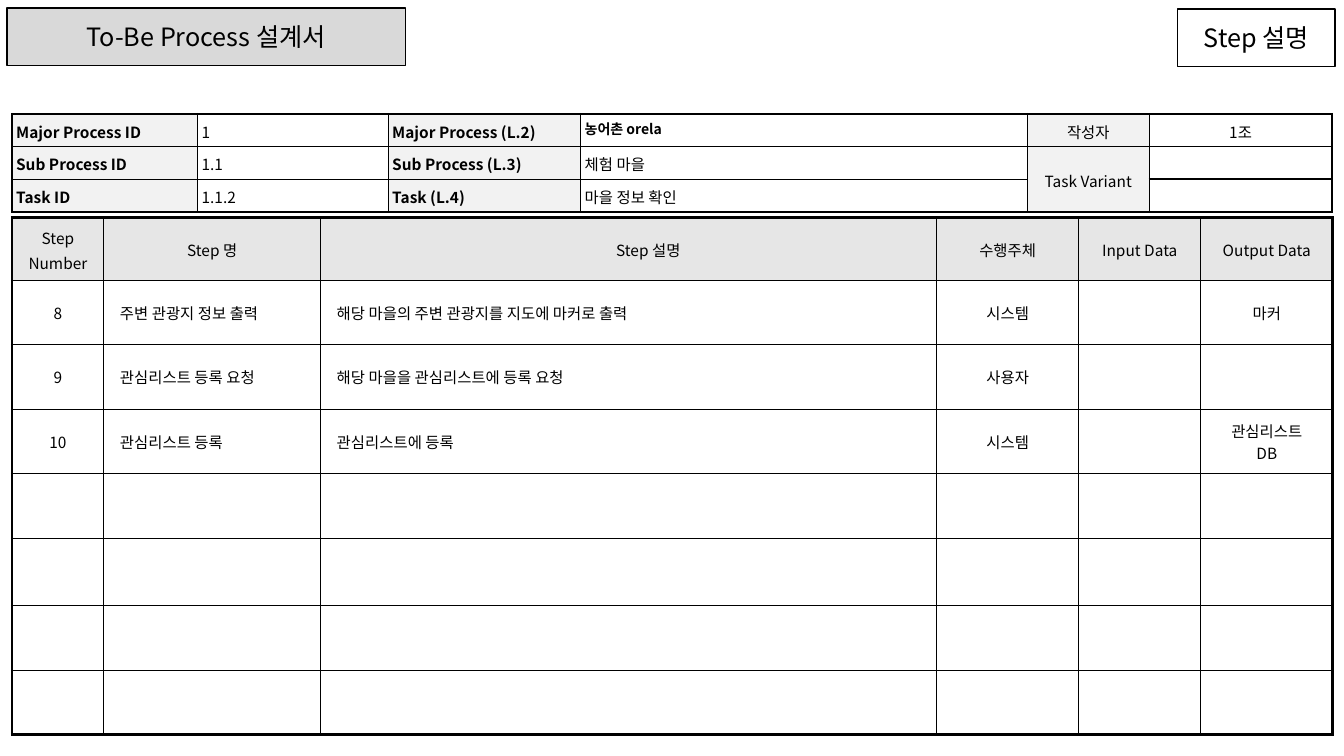
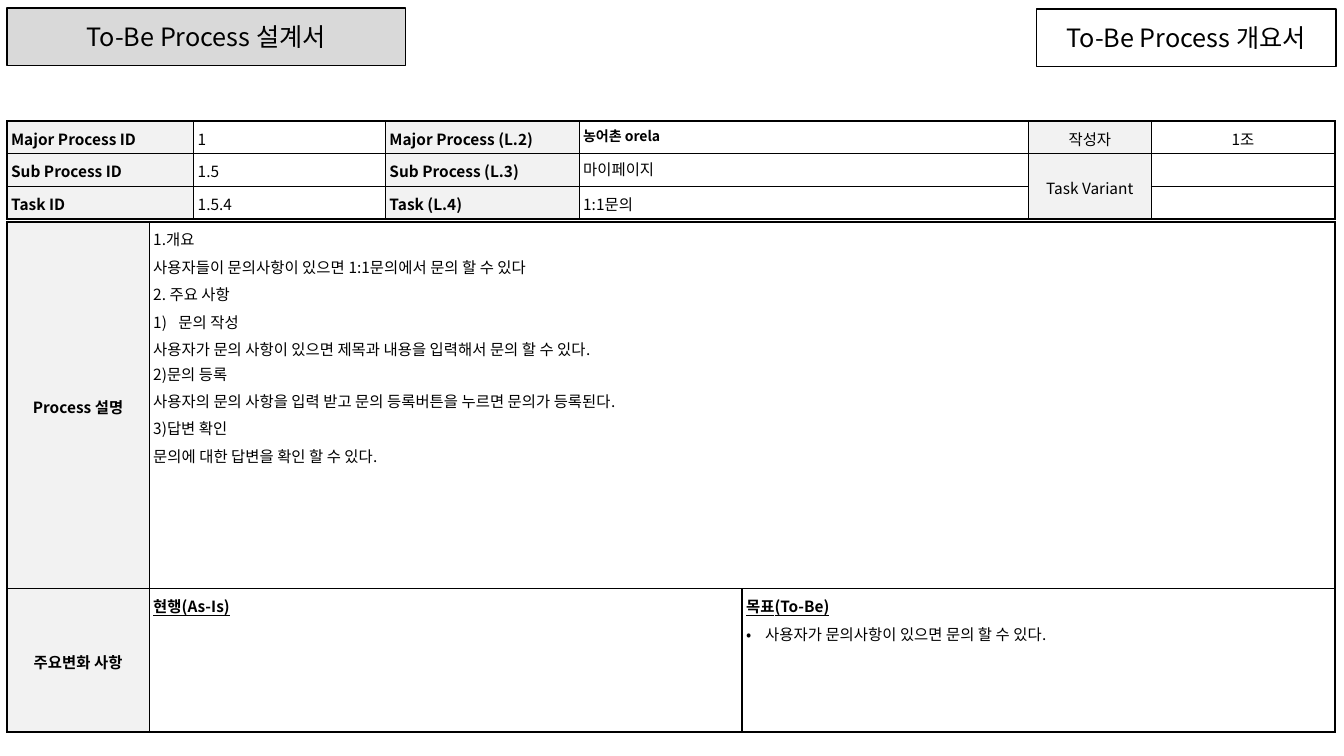
from dataclasses import dataclass

from lxml import etree
from pptx import Presentation
from pptx import util as u
from pptx.dml.color import RGBColor
from pptx.enum import shapes, text
from pptx.oxml.ns import qn

FONT = "Noto Sans CJK KR"
BLACK, WHITE = "000000", "FFFFFF"
TITLE_GREY, LABEL_GREY, HEADER_GREY = "D9D9D9", "F2F2F2", "E6E6E6"
CENTER, LEFT = text.PP_ALIGN.CENTER, text.PP_ALIGN.LEFT


@dataclass
class Line:
    """One paragraph; indent and hanging are inches, a newline is a line break."""
    words: str
    bold: bool = False
    underline: bool = False
    size: float = 11
    align: int = LEFT
    spacing: float = 1.1
    before: float = 0
    indent: float = 0
    hanging: float = 0
    bullet: tuple = ()


@dataclass
class Cell:
    lines: tuple = ()
    fill: str = ""
    middle: bool = False
    span: tuple = (1, 1)
    bottom: float = 0


TITLE = "To-Be Process 설계서"
INFO_WIDTHS = [1.84, 1.89, 1.91, 4.43, 1.21, 1.81]
INFO_HEIGHTS = [0.31] * 3
INFO_LABELS = [
    ("Major Process ID", "Major Process (L.2)"),
    ("Sub Process ID", "Sub Process (L.3)"),
    ("Task ID", "Task (L.4)"),
]
MAJOR_PROCESS = Line("농어촌 orela", bold=True, size=10, spacing=1)

STEP_PAGE = {
    "caption": "Step 설명", "caption_box": (11.68, 1.56),
    "info_box": (0.12, 1.13, 13.09), "author_rule": 1.5,
    "info": [("1", MAJOR_PROCESS), ("1.1", Line("체험 마을")), ("1.1.2", Line("마을 정보 확인"))],
}
STEP_WIDTHS = [0.91, 2.15, 6.11, 1.41, 1.21, 1.31]
STEP_HEIGHTS = [0.62, 0.64, 0.64, 0.64, 0.64, 0.67, 0.64, 0.64]
STEP_HEADERS = ["Step Number", "Step 명", "Step 설명", "수행주체", "Input Data", "Output Data"]
STEPS = [
    ("8", "주변 관광지 정보 출력", "해당 마을의 주변 관광지를 지도에 마커로 출력", "시스템", "", "마커"),
    ("9", "관심리스트 등록 요청", "해당 마을을 관심리스트에 등록 요청", "사용자", "", ""),
    ("10", "관심리스트 등록", "관심리스트에 등록", "시스템", "", "관심리스트|DB"),
]

OVERVIEW_PAGE = {
    "caption": "To-Be Process 개요서", "caption_box": (10.28, 2.97),
    "info_box": (0.07, 1.2, 13.17), "author_rule": 1,
    "info": [("1", MAJOR_PROCESS), ("1.5", Line("마이페이지", spacing=1)), ("1.5.4", Line("1:1문의"))],
}
OVERVIEW_WIDTHS = [1.41, 5.88, 5.88]
OVERVIEW_HEIGHTS = [3.64, 1.42]
DESCRIPTION = (
    Line("1.개요", indent=0.25, hanging=-0.25),
    Line("사용자들이 문의사항이 있으면 1:1문의에서 문의 할 수 있다", before=2),
    Line("2. 주요 사항", before=2),
    Line("문의 작성", before=2, indent=0.25, hanging=-0.26,
         bullet=("a:buAutoNum", {"type": "arabicParenR"})),
    Line("사용자가 문의 사항이 있으면 제목과 내용을 입력해서 문의 할 수 있다.\n2)문의 등록", before=2),
    Line("사용자의 문의 사항을 입력 받고 문의 등록버튼을 누르면 문의가 등록된다.", before=2),
    Line("3)답변 확인", before=2),
    Line("문의에 대한 답변을 확인 할 수 있다.", before=2),
)
AS_IS = (Line("현행(As-Is)", bold=True, underline=True, indent=0.09, hanging=-0.09),)
TO_BE = (
    Line("목표(To-Be)", bold=True, underline=True, indent=0.09, hanging=-0.09),
    Line("사용자가 문의사항이 있으면 문의 할 수 있다.", before=2.2, indent=0.19, hanging=-0.19,
         bullet=("a:buChar", {"char": "•"})),
)


def color(value):
    return RGBColor.from_string(value)


def add_child(parent, tag, **attributes):
    return etree.SubElement(parent, qn(tag), **attributes)


def add_run(para, words, line):
    span = para.add_run()
    span.text = words
    font = span.font
    font.size, font.bold, font.underline = u.Pt(line.size), line.bold, line.underline
    font.color.rgb = color(BLACK)
    font.name = FONT
    add_child(span._r.get_or_add_rPr(), "a:ea", typeface=FONT)


def write(frame, lines):
    for index, line in enumerate(lines):
        para = frame.add_paragraph() if index else frame.paragraphs[0]
        para.alignment = line.align
        para.line_spacing = line.spacing
        para.space_before = u.Pt(line.before)
        properties = para._p.get_or_add_pPr()
        properties.set("marL", str(u.Inches(line.indent)))
        properties.set("indent", str(u.Inches(line.hanging)))
        if line.bullet:
            tag, attributes = line.bullet
            add_child(add_child(properties, "a:buClr"), "a:srgbClr", val=BLACK)
            add_child(properties, "a:buFont", typeface=FONT)
            add_child(properties, tag, **attributes)
        for number, words in enumerate(line.words.split("\n")):
            if number:
                para.add_line_break()
            add_run(para, words, line)
    if not lines:
        add_child(frame.paragraphs[0]._p, "a:endParaRPr", sz="1100")


def add_border(cell, side, points):
    border = add_child(cell._tc.get_or_add_tcPr(), "a:ln" + side, w=str(u.Pt(points)))
    add_child(add_child(border, "a:solidFill"), "a:srgbClr", val=BLACK)


def add_grid(page, left, top, widths, heights, rows, edge, side_margin=0.04):
    """Table with outer rules of edge points and 1 point rules inside."""
    frame = page.shapes.add_table(len(heights), len(widths), u.Inches(left), u.Inches(top),
                                  u.Inches(sum(widths)), u.Inches(sum(heights)))
    table = frame.table
    table.first_row = table.horz_banding = False
    for column, width in zip(table.columns, widths):
        column.width = u.Inches(width)
    for row, height in zip(table.rows, heights):
        row.height = u.Inches(height)
    for y, row in enumerate(rows):
        for x, content in enumerate(row):
            if content is None:
                continue
            cell = table.cell(y, x)
            end_y, end_x = y + content.span[0], x + content.span[1]
            if content.span != (1, 1):
                cell.merge(table.cell(end_y - 1, end_x - 1))
            above = rows[y - 1][x] if y else None
            add_border(cell, "L", 1 if x else edge)
            add_border(cell, "R", edge if end_x == len(widths) else 1)
            add_border(cell, "T", (above and above.bottom or 1) if y else edge)
            add_border(cell, "B", edge if end_y == len(heights) else content.bottom or 1)
            if content.fill:
                cell.fill.solid()
                cell.fill.fore_color.rgb = color(content.fill)
            else:
                cell.fill.background()
            cell.margin_left = cell.margin_right = u.Inches(side_margin)
            cell.margin_top = cell.margin_bottom = u.Inches(0.04)
            cell.vertical_anchor = text.MSO_ANCHOR.MIDDLE if content.middle else text.MSO_ANCHOR.TOP
            write(cell.text_frame, content.lines)


def add_title_box(page, left, top, width, words, fill=""):
    box = page.shapes.add_shape(shapes.MSO_SHAPE.RECTANGLE, u.Inches(left), u.Inches(top),
                                u.Inches(width), u.Inches(0.57))
    box.shadow.inherit = False
    if fill:
        box.fill.solid()
        box.fill.fore_color.rgb = color(fill)
    else:
        box.fill.background()
    box.line.color.rgb = color(BLACK)
    box.line.width = u.Pt(1)
    box.text_frame.word_wrap = True
    box.text_frame.vertical_anchor = text.MSO_ANCHOR.MIDDLE
    write(box.text_frame, [Line(words, size=18, align=CENTER, spacing=1)])


def label(words, fill=LABEL_GREY, bold=False, **options):
    return Cell((Line(words, bold=bold, align=CENTER),), fill, middle=True, **options)


def add_page(deck, content):
    """Page with its two title boxes and the process information table."""
    page = deck.slides.add_slide(deck.slide_layouts[6])
    add_title_box(page, 0.07, 0.08, 3.95, TITLE, TITLE_GREY)
    caption_left, caption_width = content["caption_box"]
    add_title_box(page, caption_left, 0.09, caption_width, content["caption"])

    rule = content["author_rule"]
    right_cells = [
        [label("작성자", bottom=rule), label("1조", fill="", bottom=rule)],
        [label("Task Variant", span=(2, 1)), Cell(bottom=rule)],
        [None, Cell()],
    ]
    rows = []
    for (id_label, name_label), (number, name), right in zip(INFO_LABELS, content["info"], right_cells):
        rows.append([
            Cell((Line(id_label, bold=True),), LABEL_GREY), Cell((Line(number),)),
            Cell((Line(name_label, bold=True),), LABEL_GREY), Cell((name,)), *right,
        ])
    left, top, width = content["info_box"]
    scale = width / sum(INFO_WIDTHS)
    add_grid(page, left, top, [w * scale for w in INFO_WIDTHS], INFO_HEIGHTS, rows, 1.5)
    return page


def step_cell(column, words):
    if not words:
        return Cell()
    layout = {"indent": 0.1} if column in (1, 2) else {"align": CENTER}
    return Cell(tuple(Line(part, spacing=1, **layout) for part in words.split("|")), middle=True)


def add_step_page(deck):
    page = add_page(deck, STEP_PAGE)
    rows = [[label(words, HEADER_GREY) for words in STEP_HEADERS]]
    rows[0][2].lines[0].indent = 0.39
    blank_rows = [[""] * len(STEP_WIDTHS)] * (len(STEP_HEIGHTS) - 1 - len(STEPS))
    for step in STEPS + blank_rows:
        rows.append([step_cell(column, words) for column, words in enumerate(step)])
    add_grid(page, 0.12, 2.16, STEP_WIDTHS, STEP_HEIGHTS, rows, 2.25, side_margin=0.06)


def add_overview_page(deck):
    page = add_page(deck, OVERVIEW_PAGE)
    rows = [
        [label("Process 설명", bold=True), Cell(DESCRIPTION, WHITE, span=(1, 2)), None],
        [label("주요변화 사항", bold=True), Cell(AS_IS, WHITE), Cell(TO_BE, WHITE)],
    ]
    add_grid(page, 0.07, 2.2, OVERVIEW_WIDTHS, OVERVIEW_HEIGHTS, rows, 1.5)


def main():
    deck = Presentation()
    deck.slide_width, deck.slide_height = u.Inches(13.33), u.Inches(7.5)
    add_step_page(deck)
    add_overview_page(deck)
    deck.save("out.pptx")


if __name__ == "__main__":
    main()
